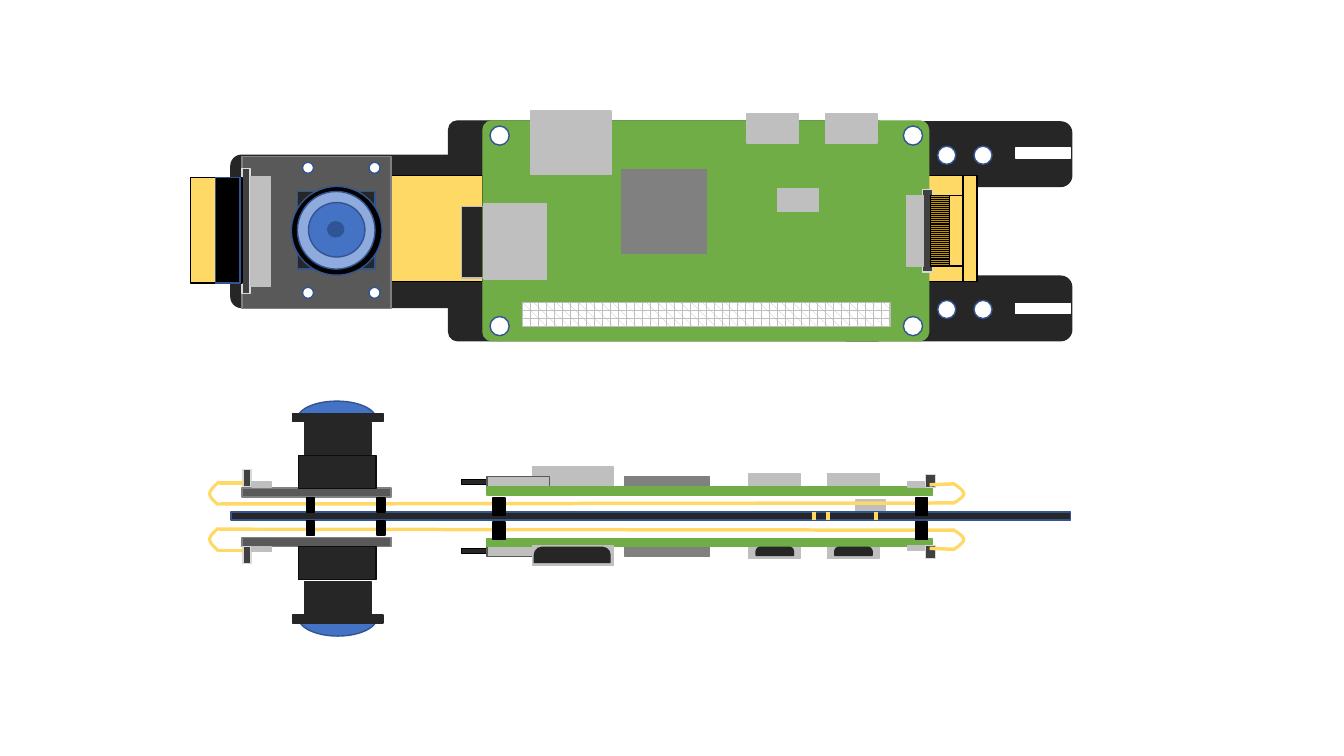
"""Draw a two-camera computer board rig from the top and from the side."""
from pptx import Presentation
from pptx.dml.color import RGBColor
from pptx.enum.dml import MSO_PATTERN
from pptx.enum.shapes import MSO_CONNECTOR, MSO_SHAPE
from pptx.oxml.ns import qn
from pptx.util import Inches, Pt

RECT, ROUND, OVAL = MSO_SHAPE.RECTANGLE, MSO_SHAPE.ROUNDED_RECTANGLE, MSO_SHAPE.OVAL
DRUM = MSO_SHAPE.FLOWCHART_DIRECT_ACCESS_STORAGE
PORT = MSO_SHAPE.ROUND_2_SAME_RECTANGLE
STRAIGHT = MSO_CONNECTOR.STRAIGHT
PLAID, DARK_ROWS, LIGHT_ROWS = (
    MSO_PATTERN.PLAID, MSO_PATTERN.DARK_HORIZONTAL, MSO_PATTERN.LIGHT_HORIZONTAL)

BLACK, WHITE = RGBColor(0, 0, 0), RGBColor(255, 255, 255)
INK, NEAR_BLACK = RGBColor(0x26, 0x26, 0x26), RGBColor(0x0D, 0x0D, 0x0D)
CHARCOAL, SLATE = RGBColor(0x40, 0x40, 0x40), RGBColor(0x59, 0x59, 0x59)
GREY, SILVER = RGBColor(0x80, 0x80, 0x80), RGBColor(0xBF, 0xBF, 0xBF)
PALE, GREEN = RGBColor(0xD9, 0xD9, 0xD9), RGBColor(0x70, 0xAD, 0x47)
YELLOW, BRONZE = RGBColor(0xFF, 0xD9, 0x66), RGBColor(0xBF, 0x90, 0)
NAVY, BLUE = RGBColor(0x32, 0x54, 0x91), RGBColor(0x44, 0x72, 0xC4)
SKY, DEEP_BLUE = RGBColor(0x8F, 0xAA, 0xDC), RGBColor(0x2F, 0x55, 0x97)

STYLES = {
    "plate": (INK, INK), "cutout": (WHITE, WHITE), "hole": (WHITE, NAVY),
    "ribbon": (YELLOW, BLACK), "card": (INK, SILVER), "card edge": (INK, BLACK),
    "board": (GREEN, GREEN), "chip": (GREY, GREY), "metal": (SILVER, SILVER),
    "slot": (SILVER, SLATE), "clip": (CHARCOAL, PALE), "camera": (SLATE, GREY),
    "mount": (INK, NAVY), "barrel": (INK, NEAR_BLACK), "post": (BLACK, BLACK),
    "lens rim": (BLACK, NAVY), "glass": (SKY, NAVY), "lens": (BLUE, NAVY),
    "pupil": (DEEP_BLUE, NAVY),
    "pins": ((PLAID, SILVER, WHITE), SILVER),
    "bent contacts": ((DARK_ROWS, BLACK, BRONZE), NAVY),
    "contacts": ((LIGHT_ROWS, BLACK, BRONZE), BLACK),
}


def holes(xs, ys, size):
    return [(OVAL, "hole", x, y, size, size) for x in xs for y in ys]


BASE_PLATE = [
    (ROUND, "plate", 8.3, 2.74, 2.33, 0.64, 0.17),
    (ROUND, "plate", 2.29, 1.54, 2.92, 1.51, 0.07),
    (ROUND, "plate", 8.3, 1.21, 2.33, 0.64, 0.17),
    (ROUND, "plate", 4.45, 1.2, 4.34, 2.18, 0.04),
    (RECT, "cutout", 10.07, 3.01, 0.55, 0.1),
    (RECT, "cutout", 10.07, 1.47, 0.55, 0.1),
    *holes((9.3, 9.66), (1.45, 2.98), 0.18),
    (RECT, "ribbon", 8.65, 1.74, 0.91, 1.05),
    (RECT, "ribbon", 3.88, 1.74, 0.91, 1.05),
    (RECT, "card", 4.58, 2.05, 0.58, 0.71),
]
BOARD_TOP = [
    (ROUND, "board", 4.79, 1.2, 4.42, 2.18, 0.04),
    (RECT, "chip", 6.17, 1.68, 0.84, 0.83),
    (RECT, "metal", 8.19, 1.13, 0.51, 0.29),
    (RECT, "pins", 5.18, 3, 3.65, 0.24),
    (RECT, "metal", 7.71, 1.87, 0.41, 0.23),
    (RECT, "clip", 9.15, 1.88, 0.1, 0.82),
    (RECT, "metal", 8.99, 1.94, 0.17, 0.7),
    (RECT, "metal", 7.41, 1.13, 0.51, 0.29),
    (RECT, "metal", 5.26, 1.1, 0.8, 0.63),
    (RECT, "metal", 4.8, 2.02, 0.62, 0.75),
    *holes((4.86, 8.96), (1.25, 3.14), 0.19),
]
CAMERA_TOP = [
    (RECT, "camera", 2.4, 1.55, 1.48, 1.51),
    (RECT, "mount", 2.95, 1.9, 0.77, 0.77),
    (OVAL, "lens rim", 2.89, 1.85, 0.9, 0.88),
    (OVAL, "glass", 2.95, 1.9, 0.77, 0.77),
    (OVAL, "lens", 3.06, 2.01, 0.56, 0.54),
    (OVAL, "pupil", 3.25, 2.2, 0.16, 0.15),
    (RECT, "clip", 2.4, 1.67, 0.08, 1.24),
    (RECT, "metal", 2.49, 1.75, 0.19, 1.09),
    *holes((3, 3.66), (1.61, 2.85), 0.11),
]
RIBBON_ENDS = [
    (RECT, "ribbon", 1.89, 1.76, 0.51, 1.05),
    (RECT, "bent contacts", 2.14, 1.76, 0.24, 1.05),
    (RECT, "ribbon", 9.23, 1.94, 0.46, 0.7),
    (RECT, "ribbon", 9.55, 1.74, 0.14, 1.05),
    (RECT, "contacts", 9.23, 1.94, 0.19, 0.7),
]
DOMES = [
    (DRUM, "lens", 2.81, 4.12, 1.06, 0.78, None, 90),
    (RECT, "cutout", 2.86, 4.12, 0.96, 0.93),
    (DRUM, "lens", 2.8, 5.37, 1.1, 0.78, None, 270),
    (RECT, "cutout", 2.86, 5.19, 0.96, 0.96),
]
RAIL = [
    (RECT, "metal", 8.49, 4.96, 0.29, 0.13),
    (RECT, "mount", 2.29, 5.08, 8.33, 0.08),
]
RAIL_MARKS = (8.07, 8.21, 8.69)

SIDE_FIELDS = ("style", "left", "upper top", "lower top", "width", "height")
BOARD_SIDE = [
    ("card edge", 4.58, 4.76, 5.44, 0.58, 0.05),
    ("chip", 6.2, 4.73, 5.41, 0.84, 0.11),
    ("metal", 7.43, 4.7, 5.39, 0.51, 0.15),
    ("metal", 8.21, 4.7, 5.39, 0.51, 0.15),
    ("slot", 4.83, 4.73, 5.41, 0.62, 0.11),
    ("board", 4.83, 4.83, 5.34, 4.42, 0.08),
    ("clip", 9.18, 4.71, 5.41, 0.1, 0.13),
    ("metal", 9, 4.78, 5.41, 0.17, 0.05),
]
VIDEO_SOCKET = [("metal", 5.28, 4.63, 5.41, 0.8, 0.2)]
CAMERA_SIDE = [
    ("camera", 2.4, 4.84, 5.33, 1.48, 0.09),
    ("clip", 2.41, 4.66, 5.42, 0.08, 0.17),
    ("metal", 2.5, 4.78, 5.42, 0.19, 0.05),
    ("barrel", 2.96, 4.52, 5.42, 0.77, 0.33),
    ("plate", 3.02, 4.19, 5.77, 0.66, 0.32),
    ("plate", 2.9, 4.1, 6.1, 0.9, 0.08),
]
POSTS = [
    ("post", 3.04, 4.94, 5.17, 0.08, 0.14), ("post", 3.74, 4.94, 5.17, 0.08, 0.14),
    ("post", 4.89, 4.94, 5.18, 0.12, 0.17), ("post", 9.08, 4.94, 5.18, 0.12, 0.17),
]
PORTS = [(PORT, "plate", x, 5.43, w, h, 0.5)
         for x, w, h in ((8.28, 0.37, 0.08), (7.5, 0.37, 0.08), (5.3, 0.75, 0.15))]

MIRROR = 10.25
CABLE_LINES = [(9.47, 4.99, 2.17, 5), (2.41, 4.79, 2.17, 4.79), (9.47, 4.8, 9.22, 4.81)]
CABLE_BENDS = [
    [(2.17, 4.78), (2.13, 4.82), (2.08, 4.86), (2.08, 4.9),
     (2.08, 4.94), (2.15, 5), (2.17, 5.01)],
    [(9.46, 4.8), (9.51, 4.83), (9.56, 4.87), (9.56, 4.9),
     (9.56, 4.93), (9.48, 4.98), (9.46, 4.99)],
]


def draw(parts):
    for kind, style, x, y, w, h, *extra in parts:
        adj, turn = extra + [None, 0][len(extra):]
        fill, line = STYLES[style]
        sp = s.shapes.add_shape(kind, *map(Inches, (x, y, w, h)))
        sp.shadow.inherit = False
        sp.rotation = turn
        if adj is not None:
            sp.adjustments[0] = adj
        if isinstance(fill, RGBColor):
            sp.fill.solid()
            sp.fill.fore_color.rgb = fill
        else:
            sp.fill.patterned()
            sp.fill.pattern, sp.fill.fore_color.rgb, sp.fill.back_color.rgb = fill
        sp.line.color.rgb, sp.line.width = line, Pt(1)


def draw_side(rows, top):
    for row in rows:
        part = dict(zip(SIDE_FIELDS, row))
        draw([(RECT, part["style"], part["left"], part[top], part["width"], part["height"])])


def draw_line(x1, y1, x2, y2, width):
    c = s.shapes.add_connector(STRAIGHT, *map(Inches, (x1, y1, x2, y2)))
    c.line.color.rgb, c.line.width = YELLOW, Pt(width)
    sp_pr = c._element.spPr
    sp_pr.append(sp_pr.makeelement(qn("a:effectLst"), {}))


def bezier(points, t):
    weights = ((1 - t) ** 3, 3 * t * (1 - t) ** 2, 3 * t * t * (1 - t), t ** 3)
    return tuple(Inches(sum(k * p[i] for k, p in zip(weights, points))) for i in (0, 1))


def draw_bend(points):
    curve = [bezier(points[i:i + 4], n / 8) for i in (0, 3) for n in range(9)]
    builder = s.shapes.build_freeform(*curve[0])
    builder.add_line_segments(curve[1:], close=False)
    sp = builder.convert_to_shape()
    sp.shadow.inherit = False
    sp.fill.background()
    sp.line.color.rgb, sp.line.width = YELLOW, Pt(2.25)


prs = Presentation()
prs.slide_width, prs.slide_height = Inches(13.33), Inches(7.5)
s = prs.slides.add_slide(prs.slide_layouts[6])

draw(BASE_PLATE + BOARD_TOP + CAMERA_TOP + RIBBON_ENDS + DOMES + RAIL)
for x in RAIL_MARKS:
    draw_line(x, 5.08, x, 5.16, 3)
draw_side(VIDEO_SOCKET + BOARD_SIDE + CAMERA_SIDE, "upper top")
draw_side(BOARD_SIDE + VIDEO_SOCKET + CAMERA_SIDE, "lower top")
draw(PORTS)
for top, offset, sign in (("lower top", MIRROR, -1), ("upper top", 0, 1)):
    for x1, y1, x2, y2 in CABLE_LINES:
        draw_line(x1, offset + sign * y1, x2, offset + sign * y2, 2.5)
    for bend in CABLE_BENDS:
        draw_bend([(x, offset + sign * y) for x, y in bend])
    draw_side(POSTS, top)
prs.save("out.pptx")
